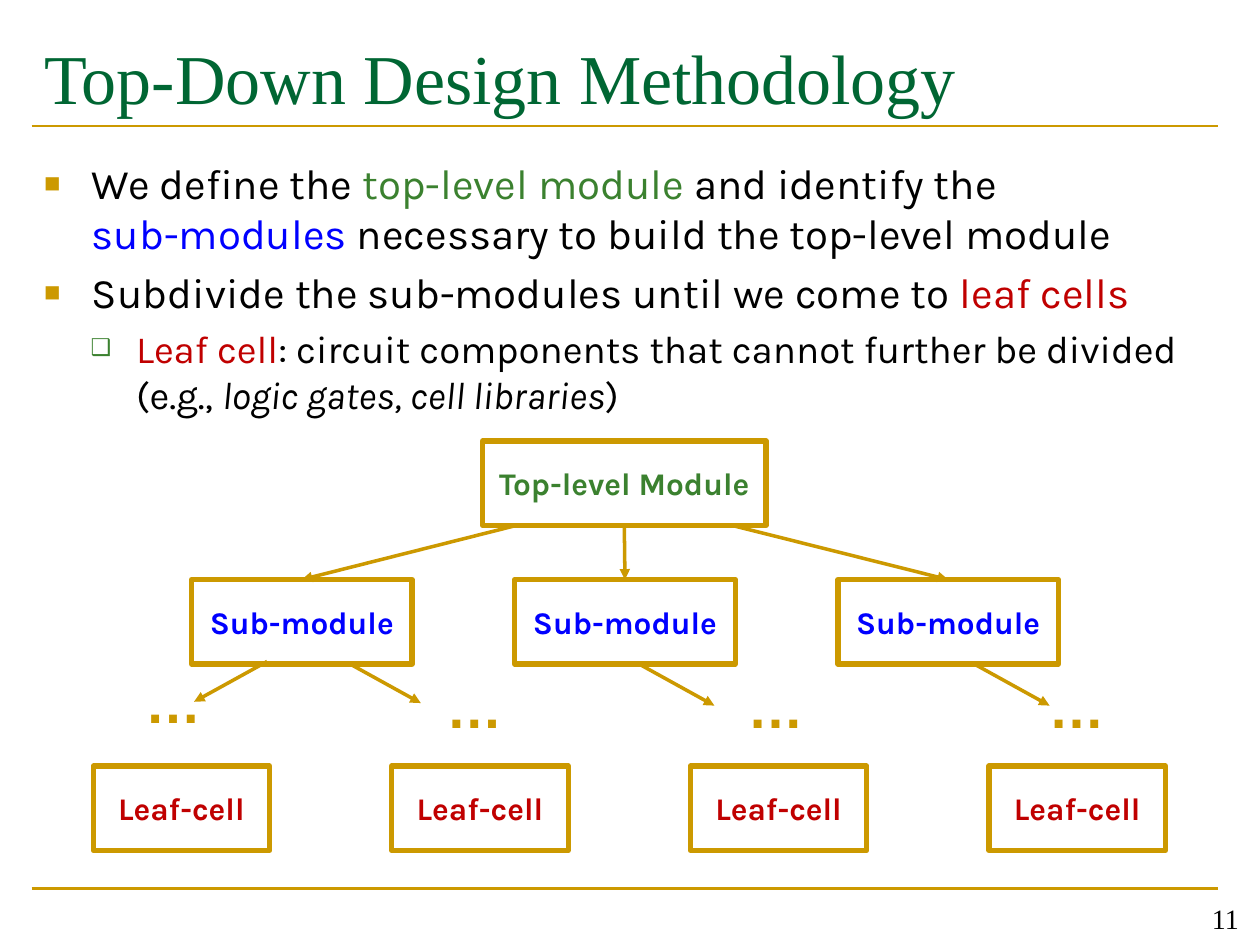
from lxml import etree
from pptx import Presentation
from pptx.dml.color import RGBColor
from pptx.enum.shapes import MSO_CONNECTOR, MSO_SHAPE
from pptx.enum.text import MSO_ANCHOR, MSO_AUTO_SIZE, PP_ALIGN
from pptx.oxml.ns import qn
from pptx.util import Inches, Pt

STRAIGHT = MSO_CONNECTOR.STRAIGHT
RECTANGLE = MSO_SHAPE.RECTANGLE
TOP, MIDDLE, BOTTOM = MSO_ANCHOR.TOP, MSO_ANCHOR.MIDDLE, MSO_ANCHOR.BOTTOM
FIXED_SIZE, GROW = MSO_AUTO_SIZE.NONE, MSO_AUTO_SIZE.SHAPE_TO_FIT_TEXT
LEFT, CENTER, RIGHT = PP_ALIGN.LEFT, PP_ALIGN.CENTER, PP_ALIGN.RIGHT
TOP_SIDE, BOTTOM_SIDE = 0, 2

GOLD = RGBColor(0xCC, 0x99, 0x00)
DARK_GREEN = RGBColor(0x00, 0x66, 0x33)
GREEN = RGBColor(0x3B, 0x81, 0x2F)
BLUE = RGBColor(0x00, 0x00, 0xFF)
RED = RGBColor(0xC0, 0x00, 0x00)
BLACK = RGBColor(0x00, 0x00, 0x00)

COLUMNS, ROWS = 100, 75
BREAK = "\n"


class SlideBuilder:
    serif, sans, symbol = "Times New Roman", "Karla", "Arial"

    def __init__(self, presentation):
        self.slide = presentation.slides.add_slide(presentation.slide_layouts[1])
        self.column = presentation.slide_width / COLUMNS
        self.row = presentation.slide_height / ROWS

    def place(self, left, top, width, height):
        return (round(left * self.column), round(top * self.row),
                round(width * self.column), round(height * self.row))

    def move(self, shape, *area):
        shape.left, shape.top, shape.width, shape.height = self.place(*area)

    def run(self, paragraph, text, font, size, color, bold=False, italic=False):
        run = paragraph.add_run()
        run.text = text
        run.font.name, run.font.size = font, Pt(size)
        run.font.bold, run.font.italic = bold, italic
        run.font.color.rgb = color

    def title(self, text, *area):
        shape = self.slide.shapes.title
        self.move(shape, *area)
        frame = shape.text_frame
        frame.auto_size, frame.vertical_anchor = FIXED_SIZE, MIDDLE
        frame.margin_bottom = Inches(0.15)
        frame.paragraphs[0].alignment = LEFT
        self.run(frame.paragraphs[0], text, self.serif, 40, DARK_GREEN)

    def bullet(self, paragraph, character, color, percent, indent, hanging):
        properties = paragraph._p.get_or_add_pPr()
        properties.set("marL", str(Inches(indent)))
        properties.set("indent", str(-Inches(hanging)))
        bullet_color = etree.SubElement(properties, qn("a:buClr"))
        etree.SubElement(bullet_color, qn("a:srgbClr"), val=str(color))
        etree.SubElement(properties, qn("a:buSzPct"), val=str(percent * 1000))
        etree.SubElement(properties, qn("a:buChar"), char=character)

    def body(self, items, *area):
        shape = self.slide.placeholders[1]
        self.move(shape, *area)
        frame = shape.text_frame
        frame.auto_size, frame.vertical_anchor = FIXED_SIZE, TOP
        for index, (level, runs) in enumerate(items):
            paragraph = frame.paragraphs[0] if index == 0 else frame.add_paragraph()
            paragraph.level = level
            size = 22 if level else 24
            if level:
                self.bullet(paragraph, "❑", GREEN, 60, 0.73, 0.36)
            else:
                self.bullet(paragraph, "■", GOLD, 65, 0.38, 0.38)
            paragraph.space_before = Pt(0.2 * size if index else 0)
            for text, color, italic in runs:
                if text == BREAK:
                    paragraph.add_line_break()
                else:
                    self.run(paragraph, text, self.sans, size, color, italic=italic)

    def box(self, text, color, *area):
        shape = self.slide.shapes.add_shape(RECTANGLE, *self.place(*area))
        shape.shadow.inherit = False
        shape.fill.background()
        shape.line.color.rgb, shape.line.width = GOLD, Pt(3)
        frame = shape.text_frame
        frame.vertical_anchor = MIDDLE
        frame.paragraphs[0].alignment = CENTER
        self.run(frame.paragraphs[0], text, self.sans, 18, color, bold=True)
        return shape

    def label(self, text, font, size, color, alignment, anchor, fit, bold, *area):
        frame = self.slide.shapes.add_textbox(*self.place(*area)).text_frame
        frame.word_wrap, frame.auto_size = True, fit
        frame.vertical_anchor = anchor
        frame.paragraphs[0].alignment = alignment
        self.run(frame.paragraphs[0], text, font, size, color, bold=bold)

    def line(self, x1, y1, x2, y2, width=1.5):
        start, end = self.place(x1, y1, 0, 0), self.place(x2, y2, 0, 0)
        connector = self.slide.shapes.add_connector(STRAIGHT, *start[:2], *end[:2])
        connector.line.color.rgb, connector.line.width = GOLD, Pt(width)
        etree.SubElement(connector._element.spPr, qn("a:effectLst"))
        return connector

    def arrow(self, x1, y1, x2, y2):
        connector = self.line(x1, y1, x2, y2, 2)
        outline = connector.line._get_or_add_ln()
        etree.SubElement(outline, qn("a:tailEnd"), type="triangle")
        return connector


def main():
    presentation = Presentation()
    presentation.slide_width, presentation.slide_height = Inches(10), Inches(7.5)
    builder = SlideBuilder(presentation)

    for rule_row in (70.5, 10):
        builder.line(2.5, rule_row, 96.7, rule_row)
    builder.title("Top-Down Design Methodology", 2.5, 1.7, 94.2, 9.7)
    builder.body([
        (0, [("We define the ", BLACK, False),
             ("top-level module ", GREEN, False),
             ("and identify the ", BLACK, False),
             (BREAK, BLACK, False),
             ("sub-modules", BLUE, False),
             (" necessary to build the top-level module", BLACK, False)]),
        (0, [("Subdivide the sub-modules until we come to ", BLACK, False),
             ("leaf cells", RED, False)]),
        (1, [("Leaf cell", RED, False),
             (": circuit components that cannot further be divided (e.g., ", BLACK, False),
             ("logic gates, cell libraries", BLACK, True),
             (")", BLACK, False)]),
    ], 2.5, 12, 94.2, 29.7)
    builder.label("11", builder.serif, 16, BLACK, RIGHT, BOTTOM, FIXED_SIZE, False,
                  76, 69.7, 23.3, 5)

    top_module = builder.box("Top-level Module", GREEN, 38.3, 35, 22.5, 6.7)
    for index in range(3):
        left = 15.2 + 25.65 * index
        sub_module = builder.box("Sub-module", BLUE, left, 46, 17.5, 6.7)
        arrow = builder.arrow(41 + 8.55 * index, 41.7, left + 8.75, 46)
        if index == 1:
            arrow.begin_connect(top_module, BOTTOM_SIDE)
        arrow.end_connect(sub_module, TOP_SIDE)

    for index in range(4):
        dots_top = 52.9 if index else 52.5
        builder.label("…", builder.symbol, 32, GOLD, CENTER, TOP, GROW, True,
                      10 + 23.9 * index, dots_top, 7.5, 6.4)
        builder.box("Leaf-cell", RED, 7.4 + 23.7 * index, 60.8, 14, 6.7)
    for x, y, run in ((21.2, 52.5, -5.8), (27.6, 52.6, 5.8),
                      (50.9, 52.8, 5.8), (77.5, 52.8, 5.8)):
        builder.arrow(x, y, x + run, y + 3.2)

    presentation.save("out.pptx")


if __name__ == "__main__":
    main()
